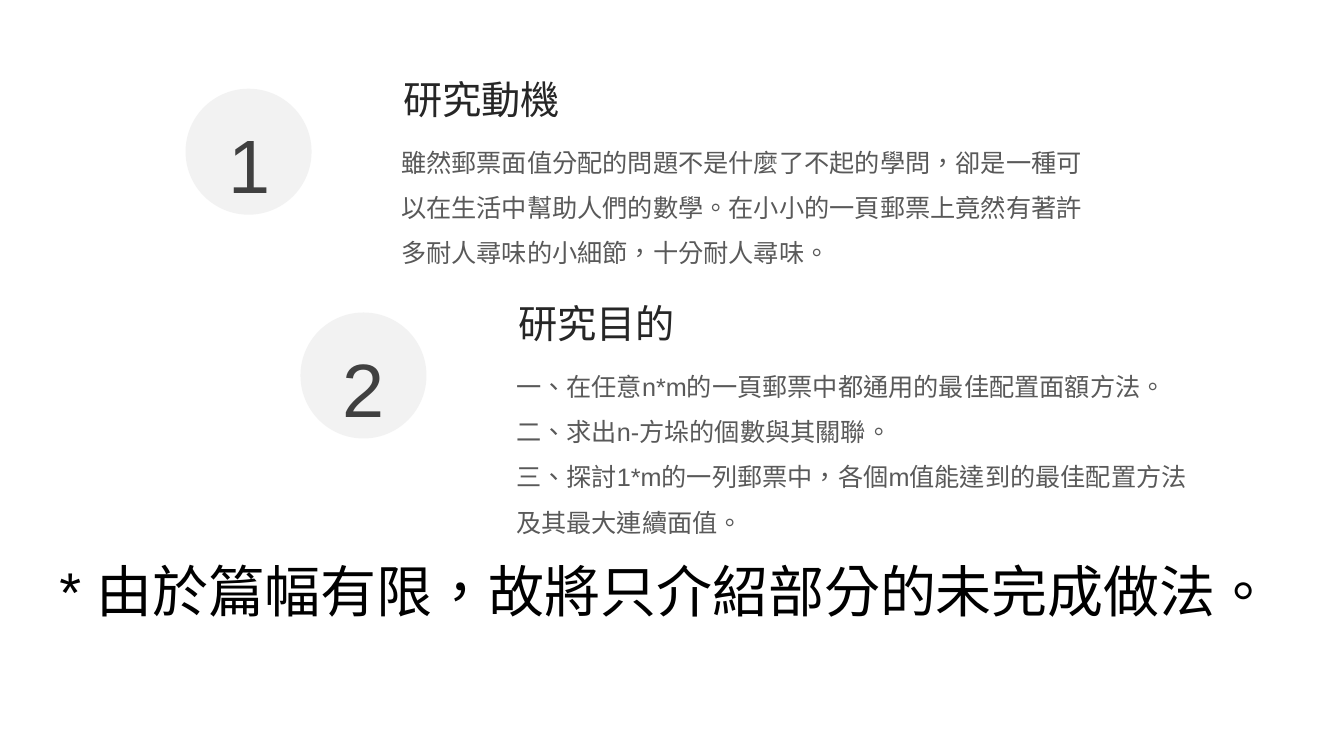
from pptx import Presentation
from pptx.dml.color import RGBColor
from pptx.enum.lang import MSO_LANGUAGE_ID
from pptx.enum.shapes import MSO_SHAPE
from pptx.enum.text import MSO_AUTO_SIZE, PP_ALIGN
from pptx.util import Pt

SCALE = 9144  # EMU per px, 100 px to the inch
FONT = "Arial"
COLORS = {
    "disc": "F2F2F2",
    "number": "404040",
    "title": "262626",
    "body": "595959",
    "note": "000000",
}
OVAL = MSO_SHAPE.OVAL
CENTER, LEFT = PP_ALIGN.CENTER, PP_ALIGN.LEFT
GROW = MSO_AUTO_SIZE.SHAPE_TO_FIT_TEXT
CHINESE = MSO_LANGUAGE_ID.TRADITIONAL_CHINESE

SECTION_STEP = (114, 222)
SECTIONS = [
    ("研究動機", [
        "雖然郵票面值分配的問題不是什麼了不起的學問，卻是一種可以在生活中幫助人們的數學。"
        "在小小的一頁郵票上竟然有著許多耐人尋味的小細節，十分耐人尋味。",
    ], 696, 146),
    ("研究目的", [
        "一、在任意n*m的一頁郵票中都通用的最佳配置面額方法。",
        "二、求出n-方垛的個數與其關聯。",
        "三、探討1*m的一列郵票中，各個m值能達到的最佳配置方法及其最大連續面值。",
    ], 704, 192),
]
NOTE = "* 由於篇幅有限，故將只介紹部分的未完成做法。"


class SlideBuilder:
    def __init__(self, page):
        self.shapes = page.shapes

    def disc(self, left, top, size):
        disc = self.shapes.add_shape(OVAL, *(v * SCALE for v in (left, top, size, size)))
        disc.shadow.inherit = False
        disc.fill.solid()
        disc.fill.fore_color.rgb = RGBColor.from_string(COLORS["disc"])
        disc.line.fill.background()

    def text(self, area, lines, size, color, spacing=1.0, align=LEFT):
        """Add a wrapped box over area (left, top, width, height in px)."""
        box = self.shapes.add_textbox(*(v * SCALE for v in area))
        frame = box.text_frame
        frame.word_wrap = True
        frame.auto_size = GROW
        frame.text = "\n".join(lines)
        for para in frame.paragraphs:
            para.alignment = align
            para.line_spacing = spacing
            para.font.name = FONT
            para.font.size = Pt(size)
            para.font.color.rgb = RGBColor.from_string(COLORS[color])
            para.font.language_id = CHINESE

    def section(self, index, title, lines, body_width, body_height):
        x, y = (index * step for step in SECTION_STEP)
        self.disc(184 + x, 88 + y, 125)
        self.text((49 + x, 67 + y, 396, 146), [str(index + 1)], 54, "number", 1.5, CENTER)
        self.text((390 + x, 70 + y, 295, 57), [title], 28, "title")
        self.text((388 + x, 126 + y, body_width, body_height), lines, 18, "body", 1.5)


def main():
    deck = Presentation()
    deck.slide_width, deck.slide_height = 1333 * SCALE, 750 * SCALE
    builder = SlideBuilder(deck.slides.add_slide(deck.slide_layouts[6]))
    for index, section in enumerate(SECTIONS):
        builder.section(index, *section)
    builder.text((49, 547, 1272, 77), [NOTE], 40, "note")
    deck.save("out.pptx")


if __name__ == "__main__":
    main()
